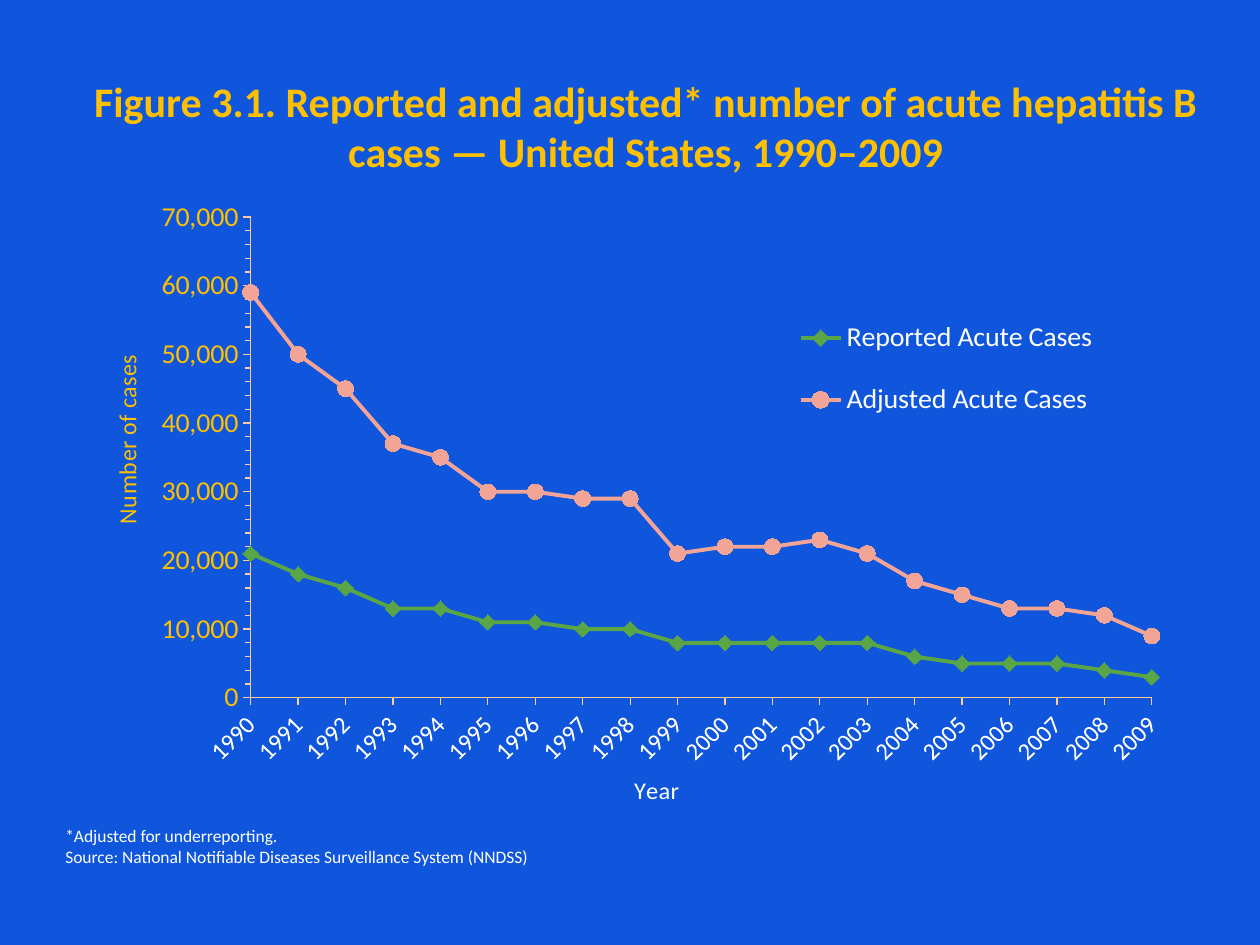
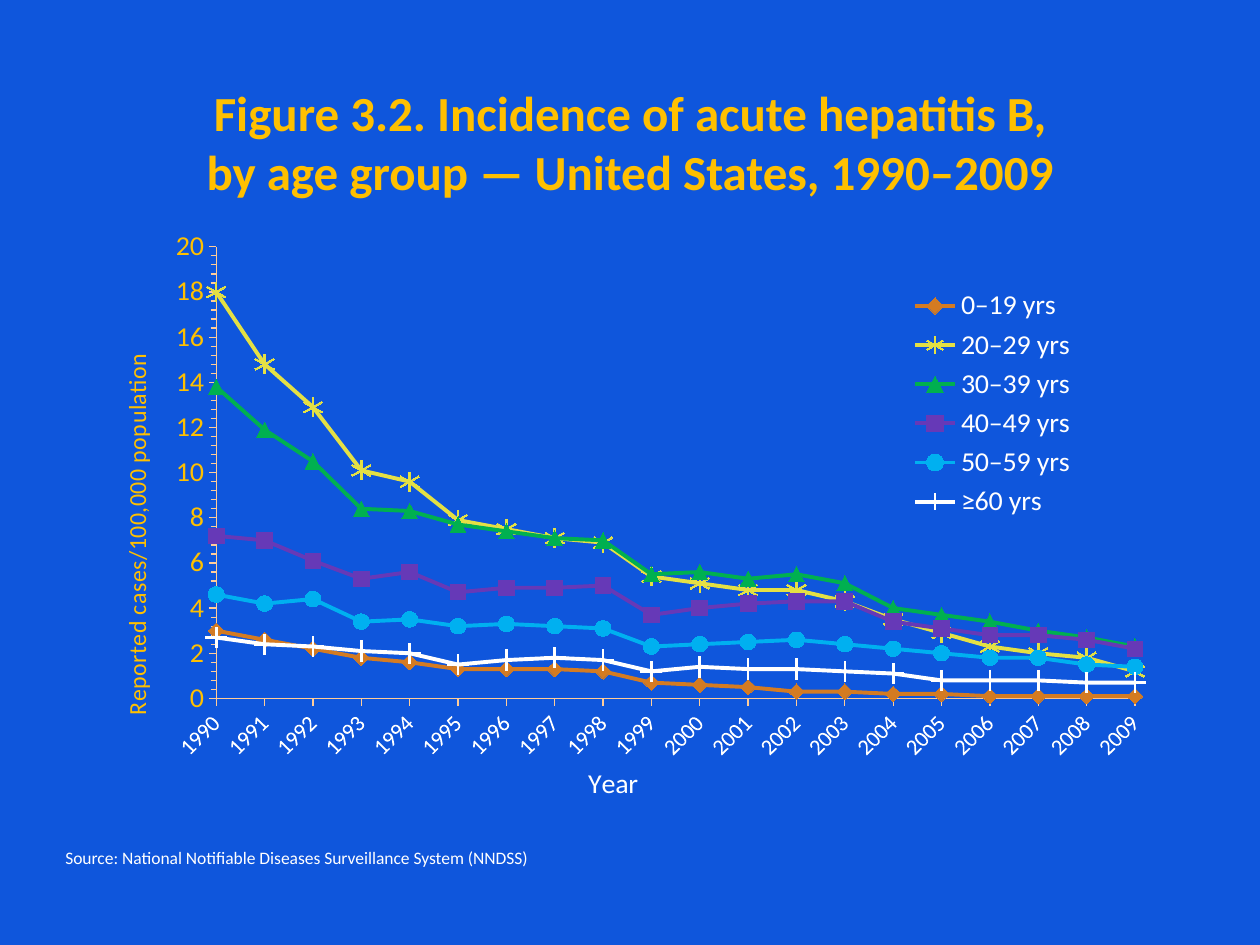
from dataclasses import dataclass

from lxml import etree
from pptx import Presentation
from pptx.chart.data import CategoryChartData
from pptx.dml.color import RGBColor
from pptx.enum.chart import XL_CHART_TYPE, XL_LEGEND_POSITION, XL_MARKER_STYLE, XL_TICK_MARK
from pptx.enum.text import MSO_ANCHOR, PP_ALIGN
from pptx.oxml.ns import qn
from pptx.util import Inches, Pt

LINE_MARKERS = XL_CHART_TYPE.LINE_MARKERS
LEGEND_RIGHT = XL_LEGEND_POSITION.RIGHT
TICK_OUTSIDE = XL_TICK_MARK.OUTSIDE
DIAMOND, CIRCLE = XL_MARKER_STYLE.DIAMOND, XL_MARKER_STYLE.CIRCLE
STAR, PLUS = XL_MARKER_STYLE.STAR, XL_MARKER_STYLE.PLUS
TRIANGLE, SQUARE = XL_MARKER_STYLE.TRIANGLE, XL_MARKER_STYLE.SQUARE
MIDDLE, TOP = MSO_ANCHOR.MIDDLE, MSO_ANCHOR.TOP
CENTER, LEFT = PP_ALIGN.CENTER, PP_ALIGN.LEFT

WIDTH, HEIGHT = 10, 7.5
YEARS = [str(year) for year in range(1990, 2010)]
SOURCE = "Source: National Notifiable Diseases Surveillance System (NNDSS)"


@dataclass(frozen=True)
class Theme:
    """Colours, font and type sizes shared by the slides."""

    font: str = "Calibri"
    background: str = "0F56DC"
    accent: str = "FFC000"
    text: str = "FFFFFF"
    axis: str = "FFCC99"
    note_size: int = 10
    axis_title_size: int = 14
    label_size: int = 16
    series_width: float = 2.25
    axis_width: float = 0.75


@dataclass(frozen=True)
class Trend:
    """One line of a chart with its marker."""

    name: str
    color: str
    marker: int
    marker_size: int
    values: tuple


@dataclass(frozen=True)
class ChartPlan:
    """Scale, type sizes and inner layout of a line chart."""

    box: tuple
    plot: tuple
    legend: tuple
    value_title: str
    value_title_at: tuple
    year_title_at: tuple
    year_title_size: int
    year_label_size: int
    maximum: float
    major: float
    number_format: str


THEME = Theme()

CASES = (
    Trend("Reported Acute Cases", "5AA545", DIAMOND, 9,
          (21000, 18000, 16000, 13000, 13000, 11000, 11000, 10000, 10000, 8000,
           8000, 8000, 8000, 8000, 6000, 5000, 5000, 5000, 4000, 3000)),
    Trend("Adjusted Acute Cases", "F2A596", CIRCLE, 9,
          (59000, 50000, 45000, 37000, 35000, 30000, 30000, 29000, 29000, 21000,
           22000, 22000, 23000, 21000, 17000, 15000, 13000, 13000, 12000, 9000)),
)

AGE_GROUPS = (
    Trend("0–19 yrs", "D47B22", DIAMOND, 9,
          (3, 2.6, 2.2, 1.8, 1.6, 1.3, 1.3, 1.3, 1.2, 0.7,
           0.6, 0.5, 0.3, 0.3, 0.2, 0.2, 0.1, 0.1, 0.1, 0.1)),
    Trend("20–29 yrs", "E4E044", STAR, 11,
          (18, 14.8, 12.9, 10.1, 9.6, 7.9, 7.5, 7.1, 6.9, 5.4,
           5.1, 4.8, 4.8, 4.3, 3.5, 2.9, 2.3, 2, 1.8, 1.2)),
    Trend("30–39 yrs", "00B050", TRIANGLE, 9,
          (13.8, 11.9, 10.5, 8.4, 8.3, 7.7, 7.4, 7.1, 7, 5.5,
           5.6, 5.3, 5.5, 5.1, 4, 3.7, 3.4, 3, 2.7, 2.3)),
    Trend("40–49 yrs", "6639B7", SQUARE, 9,
          (7.2, 7, 6.1, 5.3, 5.6, 4.7, 4.9, 4.9, 5, 3.7,
           4, 4.2, 4.3, 4.3, 3.4, 3.1, 2.8, 2.8, 2.6, 2.2)),
    Trend("50–59 yrs", "00B0F0", CIRCLE, 9,
          (4.6, 4.2, 4.4, 3.4, 3.5, 3.2, 3.3, 3.2, 3.1, 2.3,
           2.4, 2.5, 2.6, 2.4, 2.2, 2, 1.8, 1.8, 1.5, 1.4)),
    Trend("≥60 yrs", "FFFFFF", PLUS, 12,
          (2.7, 2.4, 2.3, 2.1, 2, 1.5, 1.7, 1.8, 1.7, 1.2,
           1.4, 1.3, 1.3, 1.2, 1.1, 0.8, 0.8, 0.8, 0.7, 0.7)),
)

CASES_PLAN = ChartPlan(
    box=(0.75, 1.5, 8.67, 4.95), plot=(0.143, 0.046, 0.825, 0.788),
    legend=(0.63, 0.17, 0.3, 0.25),
    value_title="Number of cases", value_title_at=(0.01, 0.27),
    year_title_at=(0.49, 0.95), year_title_size=14, year_label_size=14,
    maximum=70000, major=10000, number_format="#,##0")

AGE_PLAN = ChartPlan(
    box=(0.83, 1.75, 8.44, 4.67), plot=(0.105, 0.046, 0.864, 0.788),
    legend=(0.75, 0.11, 0.17, 0.42),
    value_title="Reported cases/100,000 population", value_title_at=(0.01, 0.24),
    year_title_at=(0.45, 0.94), year_title_size=16, year_label_size=13,
    maximum=20, major=2, number_format="General")


def style_font(font, size, color, bold=False):
    """Apply the theme font with a size and colour."""
    font.name, font.size, font.bold = THEME.font, Pt(size), bold
    font.color.rgb = RGBColor.from_string(color)


def style_line(line, color, width):
    """Give a line a solid colour and a width in points."""
    line.color.rgb = RGBColor.from_string(color)
    line.width = Pt(width)


def add_element(parent, tag, value=None):
    """Append an XML element with an optional val attribute."""
    element = etree.SubElement(parent, qn(tag))
    if value is not None:
        element.set("val", str(value))
    return element


def set_layout(owner, shares, inner=False):
    """Place a chart part by shares of the chart's size."""
    for old_layout in owner.findall(qn("c:layout")):
        owner.remove(old_layout)
    layout = etree.Element(qn("c:layout"))
    manual = add_element(layout, "c:manualLayout")
    if inner:
        add_element(manual, "c:layoutTarget", "inner")
    for mode in ("xMode", "yMode"):
        add_element(manual, f"c:{mode}", "edge")
    for side, share in zip("xywh", shares):
        add_element(manual, f"c:{side}", share)
    overlay = owner.find(qn("c:overlay"))
    following = owner[0] if overlay is None else overlay
    following.addprevious(layout)


def add_text(slide, text, box, size, color, align=LEFT, anchor=TOP, bold=False):
    """Add a wrapped text box holding one paragraph."""
    shape = slide.shapes.add_textbox(*map(Inches, box))
    frame = shape.text_frame
    frame.word_wrap = True
    frame.vertical_anchor = anchor
    paragraph = frame.paragraphs[0]
    paragraph.text = text
    paragraph.alignment = align
    style_font(paragraph.font, size, color, bold)


def style_axis(axis, title, title_at, title_size, label_size, color):
    """Style an axis line, its labels and its title."""
    axis.has_major_gridlines = False
    axis.major_tick_mark = TICK_OUTSIDE
    style_line(axis.format.line, THEME.axis, THEME.axis_width)
    style_font(axis.tick_labels.font, label_size, color)
    paragraph = axis.axis_title.text_frame.paragraphs[0]
    paragraph.text = title
    style_font(paragraph.font, title_size, color)
    set_layout(axis.axis_title._element, title_at)


def scale_value_axis(axis, plan):
    """Set the value scale and start the lines on the axis itself."""
    axis.minimum_scale, axis.maximum_scale = 0, plan.maximum
    axis.major_unit, axis.minor_unit = plan.major, plan.major / 5
    axis.minor_tick_mark = TICK_OUTSIDE
    axis.tick_labels.number_format = plan.number_format
    axis.tick_labels.number_format_is_linked = False
    crossing = axis._element.find(qn("c:crossBetween"))
    if crossing is None:
        crossing = etree.Element(qn("c:crossBetween"))
        axis._element.find(qn("c:crosses")).addnext(crossing)
    crossing.set("val", "midCat")


def style_trend(series, trend):
    """Colour one line and its markers."""
    series.smooth = False
    style_line(series.format.line, trend.color, THEME.series_width)
    marker = series.marker
    marker.style, marker.size = trend.marker, trend.marker_size
    marker.format.fill.solid()
    marker.format.fill.fore_color.rgb = RGBColor.from_string(trend.color)
    style_line(marker.format.line, trend.color, THEME.axis_width)


def add_legend(chart, shares):
    """Add the legend over the free part of the plot."""
    chart.has_legend = True
    chart.legend.position = LEGEND_RIGHT
    chart.legend.include_in_layout = False
    style_font(chart.legend.font, THEME.label_size, THEME.text)
    set_layout(chart.legend._element, shares)


def add_line_chart(slide, plan, trends):
    """Add a transparent line chart of yearly trends."""
    data = CategoryChartData(number_format=plan.number_format)
    data.categories = YEARS
    for trend in trends:
        data.add_series(trend.name, trend.values)
    frame = slide.shapes.add_chart(LINE_MARKERS, *map(Inches, plan.box), data)
    chart = frame.chart
    chart.has_title = False
    style_font(chart.font, THEME.label_size, THEME.accent)
    chart_space = chart._chartSpace
    area = etree.Element(qn("c:spPr"))
    add_element(area, "a:noFill")
    add_element(add_element(area, "a:ln"), "a:noFill")
    chart_space.find(qn("c:txPr")).addprevious(area)

    style_axis(chart.value_axis, plan.value_title, plan.value_title_at,
               THEME.axis_title_size, THEME.label_size, THEME.accent)
    scale_value_axis(chart.value_axis, plan)
    years = chart.category_axis
    style_axis(years, "Year", plan.year_title_at,
               plan.year_title_size, plan.year_label_size, THEME.text)
    years._element.find(qn("c:txPr")).find(qn("a:bodyPr")).set("rot", "-2700000")

    chart.plots[0].vary_by_categories = False
    for series, trend in zip(chart.plots[0].series, trends):
        style_trend(series, trend)
    add_legend(chart, plan.legend)
    set_layout(chart_space.chart.plotArea, plan.plot, inner=True)


def add_figure(presentation, title, title_box, title_size, plan, trends, note, note_box):
    """Add a slide with a title, a line chart and a source note."""
    slide = presentation.slides.add_slide(presentation.slide_layouts[6])
    slide.background.fill.solid()
    slide.background.fill.fore_color.rgb = RGBColor.from_string(THEME.background)
    add_text(slide, title, title_box, title_size, THEME.accent, CENTER, MIDDLE, bold=True)
    add_line_chart(slide, plan, trends)
    add_text(slide, note, note_box, THEME.note_size, THEME.text)


def main():
    """Build both figures and save the presentation."""
    presentation = Presentation()
    presentation.slide_width, presentation.slide_height = Inches(WIDTH), Inches(HEIGHT)
    add_figure(
        presentation,
        "Figure 3.1. Reported and adjusted* number of acute hepatitis B cases"
        " — United States, 1990–2009",
        (0.25, 0.5, 9.75, 1), 24, CASES_PLAN, CASES,
        f"*Adjusted for underreporting.\n{SOURCE}", (0.42, 6.5, 8.17, 0.44))
    add_figure(
        presentation,
        "Figure 3.2. Incidence of acute hepatitis B,\nby age group — United States, 1990–2009",
        (0.5, 0.54, 9, 1.17), 28, AGE_PLAN, AGE_GROUPS,
        SOURCE, (0.42, 6.67, 9.08, 0.27))
    presentation.save("out.pptx")


if __name__ == "__main__":
    main()
